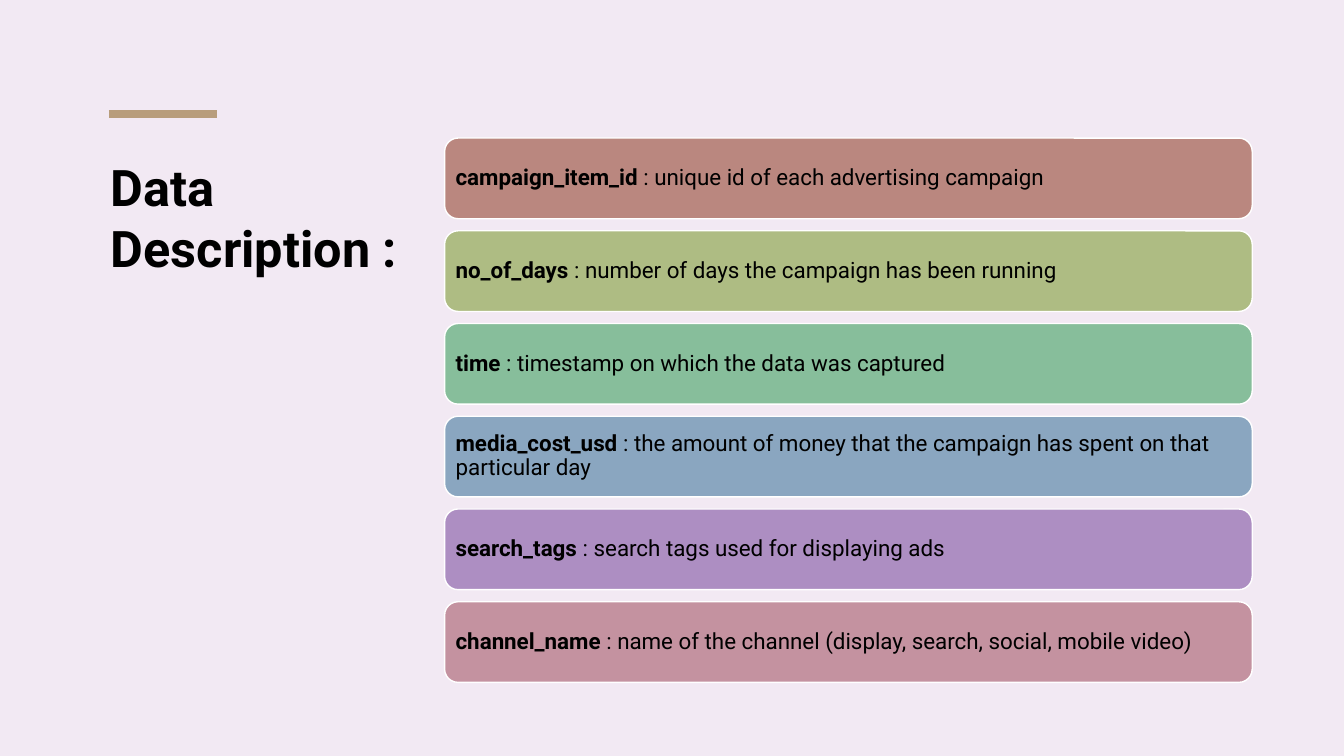
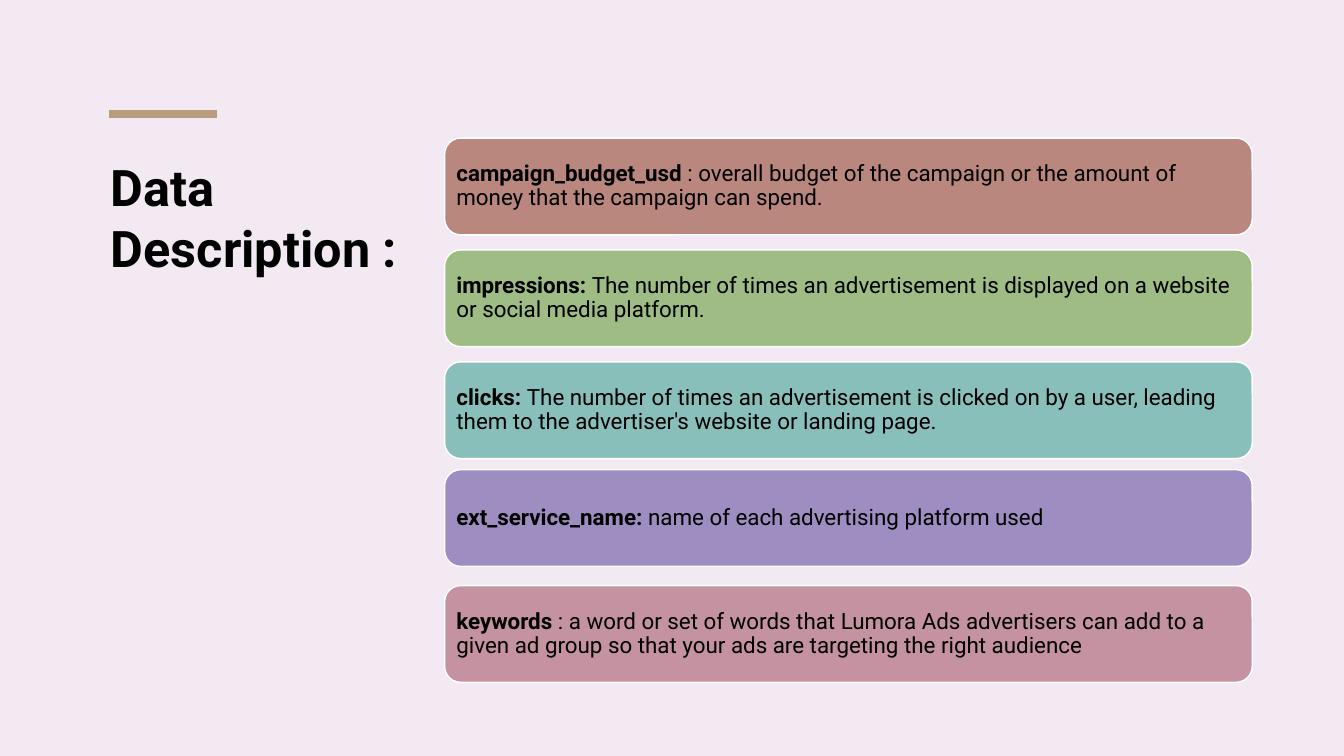
from lxml import etree
from pptx import Presentation
from pptx.dml.color import RGBColor
from pptx.enum.shapes import MSO_CONNECTOR, MSO_SHAPE
from pptx.enum.text import MSO_ANCHOR, MSO_AUTO_SIZE, PP_ALIGN
from pptx.oxml.ns import qn
from pptx.util import Inches, Pt

LEFT, TOP, MIDDLE = PP_ALIGN.LEFT, MSO_ANCHOR.TOP, MSO_ANCHOR.MIDDLE
ROUNDED, STRAIGHT = MSO_SHAPE.ROUNDED_RECTANGLE, MSO_CONNECTOR.STRAIGHT
TITLE_ONLY = 5

# Content: (field, description, card colour, vertical nudge in inches)
TITLE = "Data Description :"
SLIDES = [
    {"card_height": 0.8, "cards": [
        ("campaign_item_id ", ": unique id of each advertising campaign", "clay", 0),
        ("no_of_days ", ": number of days the campaign has been running", "olive", 0),
        ("time ", ": timestamp on which the data was captured", "green", 0),
        ("media_cost_usd ", ": the amount of money that the campaign has spent on "
         "that particular day", "blue", 0),
        ("search_tags ", ": search tags used for displaying ads", "purple", 0),
        ("channel_name ", ": name of the channel (display, search, social, "
         "mobile video)", "rose", 0),
    ]},
    {"card_height": 0.96, "cards": [
        ("campaign_budget_usd ", ": overall budget of the campaign or the amount of "
         "money that the campaign can spend.", "clay", 0),
        ("impressions: ", "The number of times an advertisement is displayed on a "
         "website or social media platform.", "moss", 0),
        ("clicks: ", "The number of times an advertisement is clicked on by a user, "
         "leading them to the advertiser's website or landing page.", "teal", 0),
        ("ext_service_name: ", "name of each advertising platform used", "violet", -0.04),
        ("keywords ", ": a word or set of words that Lumora Ads advertisers can add "
         "to a given ad group so that your ads are targeting the right audience",
         "rose", 0),
    ]},
]

# Shared style
COLORS = {
    "background": "F2E9F3", "accent": "B89D7C", "text": "000000", "outline": "FFFFFF",
    "clay": "BA877F", "olive": "AEBC83", "green": "87BE9B", "blue": "8AA6C0",
    "purple": "AD8EC2", "rose": "C492A0", "moss": "9EBC84", "teal": "89BFBB",
    "violet": "9E8DC1",
}
TITLE_FONT = {"name": "Roboto", "size": Pt(36), "bold": True}
FIELD_FONT = {"name": "Roboto", "size": Pt(16), "bold": True}
BODY_FONT = {**FIELD_FONT, "bold": False}
TITLE_BOX = {"left": Inches(1), "top": Inches(1.5),
             "width": Inches(3.64), "height": Inches(4.54)}
TITLE_FRAME = {"word_wrap": True, "auto_size": MSO_AUTO_SIZE.NONE,
               "vertical_anchor": TOP}
CARD_FRAME = {"word_wrap": True, "vertical_anchor": MIDDLE,
              **{f"margin_{side}": Inches(0.07)
                 for side in ("left", "top", "right", "bottom")}}
CARD_LEFT, CARD_WIDTH = 4.41, 8.01
STACK_TOP, STACK_BOTTOM = 1.37, 6.77


def color(name):
    return RGBColor.from_string(COLORS[name])


def apply(target, values):
    for name, value in values.items():
        setattr(target, name, value)


def add_run(p, text, font):
    r = p.add_run()
    r.text = text
    apply(r.font, font)
    r.font.color.rgb = color("text")


def add_heading(s):
    # Accent rule
    rule = s.shapes.add_connector(STRAIGHT, Inches(1.08), Inches(1.13),
                                  Inches(2.15), Inches(1.13))
    rule.line.color.rgb = color("accent")
    rule.line.width = Pt(6)
    etree.SubElement(rule._element.spPr, qn("a:effectLst"))

    # Title
    title = s.shapes.title
    apply(title, TITLE_BOX)
    tf = title.text_frame
    apply(tf, TITLE_FRAME)
    p = tf.paragraphs[0]
    p.alignment = LEFT
    add_run(p, TITLE, TITLE_FONT)


def add_card(s, top, height, field, description, fill):
    sp = s.shapes.add_shape(ROUNDED, Inches(CARD_LEFT), Inches(top),
                            Inches(CARD_WIDTH), Inches(height))
    sp.shadow.inherit = False
    sp.fill.solid()
    sp.fill.fore_color.rgb = color(fill)
    sp.line.color.rgb = color("outline")
    sp.line.width = Pt(1)
    tf = sp.text_frame
    apply(tf, CARD_FRAME)
    p = tf.paragraphs[0]
    p.alignment = LEFT
    p.line_spacing = 0.9
    add_run(p, field, FIELD_FONT)
    add_run(p, description, BODY_FONT)


def main():
    prs = Presentation()
    prs.slide_width, prs.slide_height = Inches(13.33), Inches(7.5)
    background = prs.slide_master.background.fill
    background.solid()
    background.fore_color.rgb = color("background")

    for content in SLIDES:
        s = prs.slides.add_slide(prs.slide_layouts[TITLE_ONLY])
        add_heading(s)
        # Cards spread evenly over the stack
        cards, height = content["cards"], content["card_height"]
        step = (STACK_BOTTOM - STACK_TOP - height) / (len(cards) - 1)
        for i, (field, description, fill, nudge) in enumerate(cards):
            add_card(s, STACK_TOP + i * step + nudge, height, field, description, fill)

    prs.save("out.pptx")


if __name__ == "__main__":
    main()
